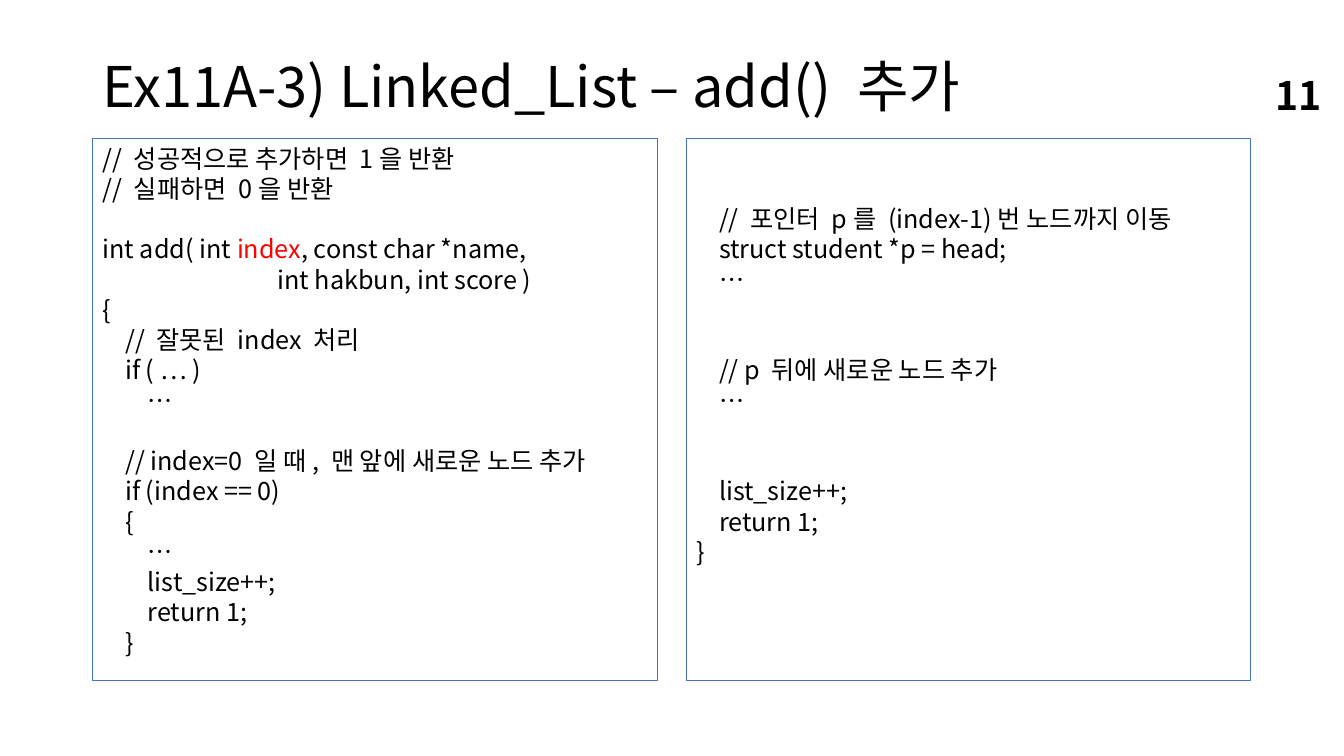
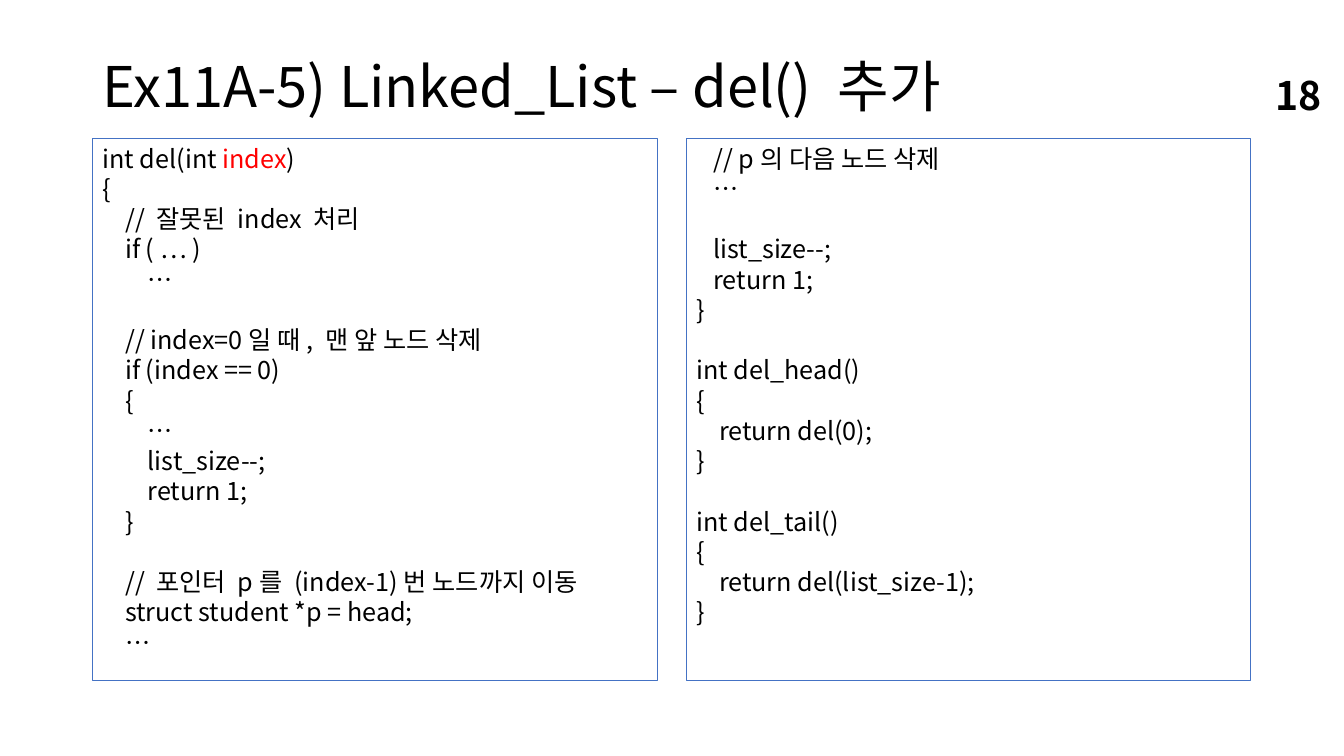
from dataclasses import dataclass

from lxml.etree import SubElement
from pptx import Presentation
from pptx.dml.color import RGBColor
from pptx.enum.shapes import MSO_SHAPE
from pptx.enum.text import MSO_ANCHOR, PP_ALIGN
from pptx.oxml.ns import qn
from pptx.util import Pt


@dataclass(frozen=True)
class Theme:
    font: str = "Noto Sans CJK KR"
    text: RGBColor = RGBColor(0x00, 0x00, 0x00)
    accent: RGBColor = RGBColor(0xFF, 0x00, 0x00)
    border: RGBColor = RGBColor(0x44, 0x72, 0xC4)
    title_size: float = 40
    number_size: float = 28
    code_size: float = 18
    code_pitch: float = 21.6
    inset_top: float = 3.6


THEME = Theme()

# Shared layout, in points
SLIDE_SIZE = (960, 540)
TITLE_BOX = (66, 29, 828, 70)
NUMBER_BOX = (717.8, 53.3, 233.3, 28.8)
PANEL_LEFT, PANEL_TOP, PANEL_WIDTH, PANEL_HEIGHT = 66.2, 98.6, 403.2, 387.4
PANEL_GAP = 21

# Code listings; bars enclose the highlighted parameter
ADD_LEFT = """\
// 성공적으로 추가하면 1을 반환
// 실패하면 0을 반환

int add( int |index|, const char *name,
                               int hakbun, int score )
{
    // 잘못된 index 처리
    if ( … )
        …

    // index=0 일 때, 맨 앞에 새로운 노드 추가
    if (index == 0)
    {
        …
        list_size++;
        return 1;
    }"""

ADD_RIGHT = """\


    // 포인터 p를 (index-1)번 노드까지 이동
    struct student *p = head;
    …


    // p 뒤에 새로운 노드 추가
    …


    list_size++;
    return 1;
}"""

DEL_LEFT = """\
int del(int |index|)
{
    // 잘못된 index 처리
    if ( … )
        …

    // index=0일 때, 맨 앞 노드 삭제
    if (index == 0)
    {
        …
        list_size--;
        return 1;
    }

    // 포인터 p를 (index-1)번 노드까지 이동
    struct student *p = head;
    …"""

DEL_RIGHT = """\
   // p의 다음 노드 삭제
   …

   list_size--;
   return 1;
}

int del_head()
{
    return del(0);
}

int del_tail()
{
    return del(list_size-1);
}"""

SLIDES = [
    ("Ex11A-3) Linked_List – add() 추가", "11", (ADD_LEFT, ADD_RIGHT)),
    ("Ex11A-5) Linked_List – del() 추가", "18", (DEL_LEFT, DEL_RIGHT)),
]


def points(values):
    return [Pt(v) for v in values]


def add_run(p, text, size, color=THEME.text, bold=False):
    r = p.add_run()
    r.text = text
    r.font.name = THEME.font
    r.font.size = Pt(size)
    r.font.bold = bold
    r.font.color.rgb = color
    # East Asian typeface for the Korean text
    SubElement(r.font._element, qn("a:ea"), typeface=THEME.font)


def add_label(slide, box, text, size, bold=False, align=PP_ALIGN.LEFT, spacing=None):
    tf = slide.shapes.add_textbox(*points(box)).text_frame
    tf.word_wrap = True
    tf.vertical_anchor = MSO_ANCHOR.MIDDLE
    p = tf.paragraphs[0]
    p.alignment = align
    p.line_spacing = spacing
    add_run(p, text, size, bold=bold)


def fill_code(tf, code):
    """Write code lines; empty lines become space above the next line."""
    gap = 0
    p = None
    for line in code.splitlines():
        if not line:
            gap += THEME.code_pitch
            continue
        if p is None:
            p = tf.paragraphs[0]
            tf.margin_top = Pt(THEME.inset_top + gap)
        else:
            p = tf.add_paragraph()
            p.space_before = Pt(gap)
        gap = 0
        p.alignment = PP_ALIGN.LEFT
        p.line_spacing = Pt(THEME.code_pitch)
        for i, part in enumerate(line.split("|")):
            add_run(p, part, THEME.code_size, THEME.accent if i % 2 else THEME.text)


def add_code_panel(slide, column, code):
    left = PANEL_LEFT + column * (PANEL_WIDTH + PANEL_GAP)
    box = (left, PANEL_TOP, PANEL_WIDTH, PANEL_HEIGHT)
    sp = slide.shapes.add_shape(MSO_SHAPE.RECTANGLE, *points(box))
    sp.shadow.inherit = False
    sp.fill.background()
    sp.line.color.rgb = THEME.border
    sp.line.width = Pt(0.75)
    tf = sp.text_frame
    tf.word_wrap = True
    tf.vertical_anchor = MSO_ANCHOR.TOP
    fill_code(tf, code)


def add_code_slide(prs, title, number, listings):
    slide = prs.slides.add_slide(prs.slide_layouts[6])
    add_label(slide, TITLE_BOX, title, THEME.title_size, spacing=0.9)
    for column, code in enumerate(listings):
        add_code_panel(slide, column, code)
    add_label(slide, NUMBER_BOX, number, THEME.number_size, bold=True, align=PP_ALIGN.RIGHT)


def main():
    prs = Presentation()
    prs.slide_width, prs.slide_height = points(SLIDE_SIZE)
    for title, number, listings in SLIDES:
        add_code_slide(prs, title, number, listings)
    prs.save("out.pptx")


if __name__ == "__main__":
    main()
